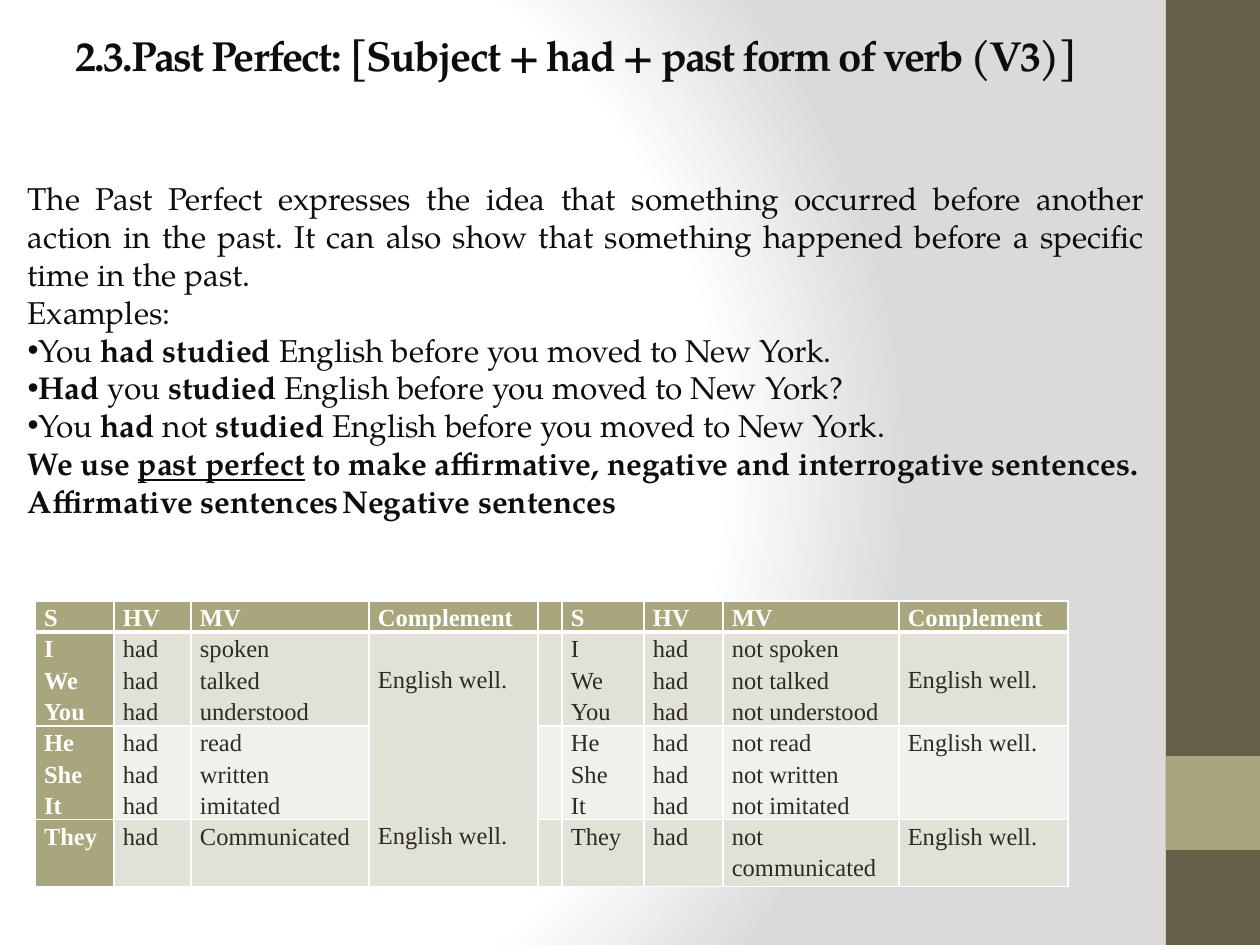
from lxml.etree import SubElement
from pptx import Presentation
from pptx.dml.color import RGBColor
from pptx.enum.shapes import MSO_SHAPE
from pptx.enum.text import MSO_ANCHOR, MSO_AUTO_SIZE, PP_ALIGN
from pptx.oxml import parse_xml
from pptx.oxml.ns import nsdecls, qn
from pptx.util import Pt

PX = 914400 / 126
SERIF, TABLE_FONT = "TeX Gyre Pagella", "Times New Roman"
COLOURS = {
    "white": "FFFFFF", "grey": "DADADA", "bar": "675E47", "accent": "A9A57C",
    "ink": "0D0D0D", "cell_ink": "2F2B20", "odd_row": "E2E1D7", "even_row": "F1F0EC",
}

# Each sentence is a list of (text, style) runs: b is bold, u is underlined
EXPLANATION = [
    ("", [("The Past Perfect expresses the idea that something occurred before another "
           "action in the past. It can also show that something happened before a "
           "specific time in the past.", "")]),
    ("", [("Examples:", "")]),
    ("•", [("You ", ""), ("had studied", "b"),
           (" English before you moved to New York.", "")]),
    ("•", [("Had", "b"), (" you ", ""), ("studied", "b"),
           (" English before you moved to New York?", "")]),
    ("•", [("You ", ""), ("had", "b"), (" not ", ""), ("studied", "b"),
           (" English before you moved to New York.", "")]),
    ("", [("We use ", "b"), ("past perfect", "bu"),
          (" to make affirmative, negative and interrogative sentences.", "b")]),
    ("", [("Affirmative sentences\tNegative sentences", "b")]),
]

HEADINGS = ["S", "HV", "MV", "Complement"]
COMPLEMENT = "English well."
VERB_GROUPS = [
    (["I", "We", "You"], ["spoken", "talked", "understood"]),
    (["He", "She", "It"], ["read", "written", "imitated"]),
    (["They"], ["Communicated"]),
]
COLUMN_WIDTHS = [79, 77, 178, 169, 24, 82, 79, 176, 169]
ROW_HEIGHTS = [31, 94, 93, 67]
TABLE_LINE = 31


def px(length):
    return round(length * PX)


def rgb(name):
    return RGBColor.from_string(COLOURS[name])


def add_run(paragraph, text, size, font_name, colour, style=""):
    run = paragraph.add_run()
    run.text = text
    font = run.font
    font.size, font.name = Pt(size), font_name
    font.color.rgb = rgb(colour)
    font.bold = "b" in style
    font.underline = "u" in style
    return run


def paint_background(slide):
    slide.background.fill.solid()
    stops = "".join(
        f'<a:gs pos="{pos}"><a:srgbClr val="{COLOURS[name]}"/></a:gs>'
        for pos, name in [(0, "white"), (75000, "white"), (100000, "grey")])
    gradient = parse_xml(
        f'<a:gradFill {nsdecls("a")} rotWithShape="1"><a:gsLst>{stops}</a:gsLst>'
        '<a:path path="circle"><a:fillToRect l="20000" t="50000" r="100000" b="50000"/>'
        '</a:path></a:gradFill>')
    background = slide._element.find(".//" + qn("p:bgPr"))
    background.replace(background.find(qn("a:solidFill")), gradient)


def add_block(slide, left, top, width, height, colour):
    block = slide.shapes.add_shape(
        MSO_SHAPE.RECTANGLE, px(left), px(top), px(width), px(height))
    block.shadow.inherit = False
    block.fill.solid()
    block.fill.fore_color.rgb = rgb(colour)
    block.line.fill.background()


def place(holder, left, top, width, height):
    holder.left, holder.top = px(left), px(top)
    holder.width, holder.height = px(width), px(height)
    frame = holder.text_frame
    frame.word_wrap = True
    frame.auto_size = MSO_AUTO_SIZE.NONE
    frame.vertical_anchor = MSO_ANCHOR.MIDDLE
    return frame


def write_title(title):
    heading = place(title, 63, 16, 1050, 77).paragraphs[0]
    heading.alignment = PP_ALIGN.LEFT
    run = add_run(heading, "2.3.Past Perfect: [Subject + had + past form of verb (V3)]",
                  24, SERIF, "ink", "b")
    run.font._element.set("spc", "-100")


def write_explanation(body):
    frame = place(body, 15, 116, 1142, 425)
    frame.margin_top, frame.margin_bottom = px(42), 0
    for index, (bullet, runs) in enumerate(EXPLANATION):
        sentence = frame.paragraphs[0] if index == 0 else frame.add_paragraph()
        sentence.alignment = PP_ALIGN.JUSTIFY
        sentence.space_before = Pt(0)
        props = sentence._p.get_or_add_pPr()
        props.set("marL", "0")
        props.set("indent", "0")
        if bullet:
            SubElement(props, qn("a:buChar")).set("char", bullet)
        else:
            SubElement(props, qn("a:buNone"))
        tabs = SubElement(props, qn("a:tabLst"))
        SubElement(tabs, qn("a:tab"), pos=str(px(601)), algn="l")
        for text, style in runs:
            add_run(sentence, text, 18, SERIF, "ink", style)


def set_borders(cell, top, bottom):
    props = cell._tc.get_or_add_tcPr()
    for side, width in [("L", 1), ("R", 1), ("T", top), ("B", bottom)]:
        line = SubElement(props, qn(f"a:ln{side}"), w=str(Pt(width)))
        fill = SubElement(line, qn("a:solidFill"))
        SubElement(fill, qn("a:srgbClr"), val=COLOURS["white"])


def fill_cell(cell, lines, fill, strong, lines_above=0, gap=0):
    cell.fill.solid()
    cell.fill.fore_color.rgb = rgb(fill)
    cell.margin_left = cell.margin_right = px(9)
    cell.margin_top, cell.margin_bottom = px(lines_above * TABLE_LINE), 0
    frame = cell.text_frame
    if not lines:
        SubElement(frame.paragraphs[0]._p, qn("a:endParaRPr"), sz="1400")
    for index, text in enumerate(lines):
        entry = frame.paragraphs[0] if index == 0 else frame.add_paragraph()
        entry.alignment = PP_ALIGN.JUSTIFY
        entry.line_spacing = 1.15
        if index and gap:
            entry.space_before = px(gap * TABLE_LINE)
        add_run(entry, text, 14, TABLE_FONT, "white" if strong else "cell_ink",
                "b" if strong else "")


def conjugation_rows():
    """Affirmative half, empty gap column, negative half."""
    rows = [[[name] for name in HEADINGS] + [[]] + [[name] for name in HEADINGS]]
    for index, (subjects, verbs) in enumerate(VERB_GROUPS):
        auxiliaries = ["had"] * len(subjects)
        negatives = [f"not {verb.lower()}" for verb in verbs]
        shared = [COMPLEMENT] * 2 if index == 0 else []
        rows.append([subjects, auxiliaries, verbs, shared, [],
                     subjects, auxiliaries, negatives, [COMPLEMENT]])
    return rows


def add_conjugations(slide):
    table = slide.shapes.add_table(
        len(ROW_HEIGHTS), len(COLUMN_WIDTHS), px(35), px(601),
        px(sum(COLUMN_WIDTHS)), px(sum(ROW_HEIGHTS))).table
    for column, width in zip(table.columns, COLUMN_WIDTHS):
        column.width = px(width)
    for row, height in zip(table.rows, ROW_HEIGHTS):
        row.height = px(height)
    table.cell(1, 3).merge(table.cell(3, 3))
    for r, row in enumerate(conjugation_rows()):
        for c, lines in enumerate(row):
            cell = table.cell(r, c)
            strong = r == 0 or c == 0
            even = r == 2 and c != 3
            fill = "accent" if strong else "even_row" if even else "odd_row"
            set_borders(cell, 3 if r == 1 else 1, 3 if r == 0 else 1)
            # The first complements sit beside the second subject
            fill_cell(cell, lines, fill, strong,
                      lines_above=int(r == 1 and c in (3, 8)), gap=4 if c == 3 else 0)


def main():
    prs = Presentation()
    prs.slide_width, prs.slide_height = px(1260), px(945)
    slide = prs.slides.add_slide(prs.slide_layouts[1])
    paint_background(slide)
    # Side bar with its accent square
    add_block(slide, 1166, 0, 94, 945, "bar")
    add_block(slide, 1166, 756, 94, 94, "accent")
    # Title, explanation and conjugation table
    write_title(slide.shapes.title)
    write_explanation(slide.placeholders[1])
    add_conjugations(slide)
    prs.save("out.pptx")


if __name__ == "__main__":
    main()
